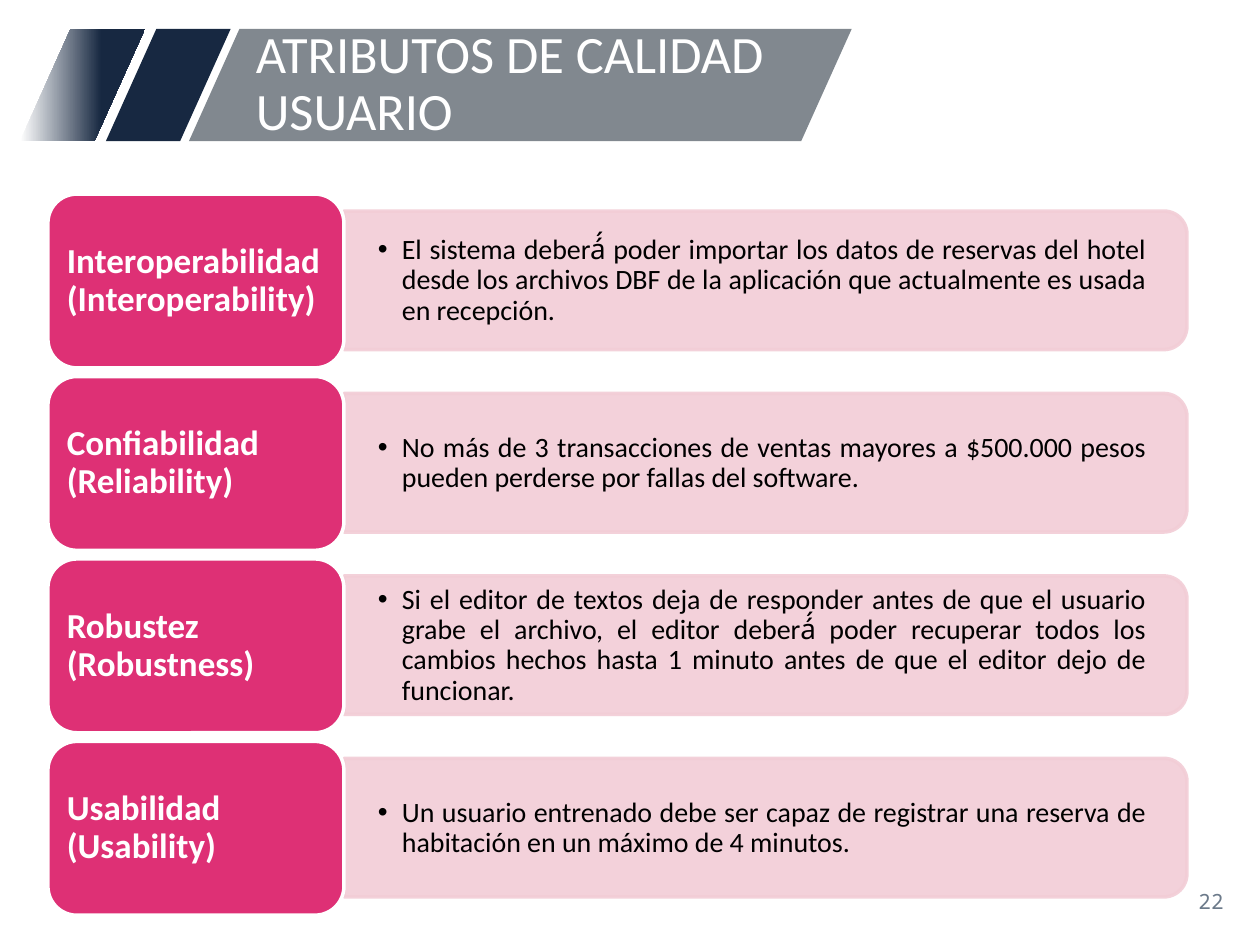
"""Build the slide of user quality attributes."""
from dataclasses import dataclass

from lxml import etree
from pptx import Presentation
from pptx.dml.color import RGBColor
from pptx.enum.shapes import MSO_SHAPE
from pptx.enum.text import MSO_ANCHOR, MSO_AUTO_SIZE, PP_ALIGN
from pptx.oxml.ns import qn
from pptx.util import Inches, Pt

SLANT = MSO_SHAPE.PARALLELOGRAM
ROUND = MSO_SHAPE.ROUNDED_RECTANGLE
TAB = MSO_SHAPE.ROUND_2_SAME_RECTANGLE
MIDDLE = MSO_ANCHOR.MIDDLE
FIXED = MSO_AUTO_SIZE.NONE
LEFT, RIGHT, JUST = PP_ALIGN.LEFT, PP_ALIGN.RIGHT, PP_ALIGN.JUSTIFY

COLS, ROWS = 100, 75
UNIT = Inches(10) // COLS
TOP, STEP = 15.4, 14.48
NAVY, GREY, WHITE, BLACK = "172841", "81888F", "FFFFFF", "000000"
PINK, ROSE, SLATE = "DE3075", "F2CDD6", "6C7A8A"


@dataclass(frozen=True)
class Box:
    """A place on the grid, in columns and rows."""
    col: float
    row: float
    wide: float
    high: float

    def place(self) -> tuple[int, ...]:
        """Return left, top, width and height as slide lengths."""
        return tuple(round(n * UNIT) for n in (self.col, self.row, self.wide, self.high))

    def turn(self) -> "Box":
        """Return the box that covers this one after a quarter turn."""
        shift = (self.wide - self.high) / 2
        return Box(self.col + shift, self.row - shift, self.high, self.wide)


@dataclass(frozen=True)
class Trait:
    """A quality attribute and its example."""
    name: str
    case: str


TRAITS = (
    Trait("Interoperabilidad (Interoperability)",
          "El sistema deberá́ poder importar los datos de reservas del hotel desde los "
          "archivos DBF de la aplicación que actualmente es usada en recepción."),
    Trait("Confiabilidad (Reliability)",
          "No más de 3 transacciones de ventas mayores a $500.000 pesos pueden perderse "
          "por fallas del software."),
    Trait("Robustez (Robustness)",
          "Si el editor de textos deja de responder antes de que el usuario grabe el "
          "archivo, el editor deberá́ poder recuperar todos los cambios hechos hasta "
          "1 minuto antes de que el editor dejo de funcionar."),
    Trait("Usabilidad (Usability)",
          "Un usuario entrenado debe ser capaz de registrar una reserva de habitación "
          "en un máximo de 4 minutos."),
)


def paint(hue: str) -> RGBColor:
    """Turn a hex string into a colour."""
    return RGBColor.from_string(hue)


def fade(shape, share: int) -> None:
    """Set the opacity of fill and line in percent."""
    for tone in shape._element.spPr.iter(qn("a:srgbClr")):
        etree.SubElement(tone, qn("a:alpha"), val=str(share * 1000))


def draw(slide, kind, box: Box, hue: str, line: str | None = None):
    """Add a filled shape with an optional outline."""
    shape = slide.shapes.add_shape(kind, *box.place())
    shape.shadow.inherit = False
    shape.fill.solid()
    shape.fill.fore_color.rgb = paint(hue)
    if line:
        shape.line.color.rgb = paint(line)
        shape.line.width = Pt(2)
    else:
        shape.line.fill.background()
    return shape


def write(shape, text: str, *, size: int, hue: str, face: str = "Calibri",
          bold: bool = False, align=LEFT, pad: tuple[float, float] = (1, 0.5),
          lead: float = 0.9, dot: bool = False) -> None:
    """Put formatted text into a shape."""
    frame = shape.text_frame
    frame.word_wrap = True
    frame.auto_size = FIXED
    frame.vertical_anchor = MIDDLE
    frame.margin_left = frame.margin_right = round(pad[0] * UNIT)
    frame.margin_top = frame.margin_bottom = round(pad[1] * UNIT)
    para = frame.paragraphs[0]
    para.text = text
    para.alignment = align
    para.line_spacing = lead
    if dot:
        props = para._p.get_or_add_pPr()
        props.set("marL", str(Inches(0.19)))
        props.set("indent", str(-Inches(0.19)))
        etree.SubElement(props, qn("a:buFont"), typeface="Arial")
        etree.SubElement(props, qn("a:buChar"), char="•")
    for run in para.runs:
        run.font.name = face
        run.font.size = Pt(size)
        run.font.bold = bold
        run.font.color.rgb = paint(hue)


def label(slide, box: Box, text: str, **style) -> None:
    """Add a text box."""
    write(slide.shapes.add_textbox(*box.place()), text, **style)


def banner(slide) -> None:
    """Draw the slanted title band and its title."""
    bands = [draw(slide, SLANT, Box(col, 2.3, wide, 8.9), hue)
             for col, wide, hue in ((8.4, 9.9, NAVY), (1.6, 9.9, NAVY), (15, 52.6, GREY))]
    for band in bands:
        band.adjustments[0] = 0.45
    fill = bands[1].fill
    fill.gradient()
    fill.gradient_angle = 0
    for stop, spot, hue in zip(fill.gradient_stops, (0, 0.65), (WHITE, NAVY)):
        stop.position = spot
        stop.color.rgb = paint(hue)
    title = slide.shapes.title
    title.left, title.top, title.width, title.height = Box(19.3, 2.3, 46.9, 8.9).place()
    write(title, "ATRIBUTOS DE CALIDAD\nUSUARIO", size=30, hue=WHITE)
    slide.shapes._spTree.append(title._element)


def band(slide, trait: Trait, row: float) -> None:
    """Draw one attribute: its panel, example, card and name."""
    panel = draw(slide, TAB, Box(27.3, row + 1.35, 66.9, 11).turn(), ROSE, ROSE)
    panel.rotation = 90
    fade(panel, 90)
    label(slide, Box(27.3, row + 1.9, 66.4, 10), trait.case, size=16, hue=BLACK,
          align=JUST, pad=(2.7, 1.4), dot=True)
    draw(slide, ROUND, Box(3.8, row, 23.5, 13.8), PINK, WHITE)
    label(slide, Box(4.5, row + 0.65, 22.1, 12.5), trait.name, size=20, hue=WHITE,
          bold=True, align=JUST, pad=(0.8, 0.4))


def main() -> None:
    """Build and save the slide."""
    deck = Presentation()
    deck.slide_width, deck.slide_height = COLS * UNIT, ROWS * UNIT
    slide = deck.slides.add_slide(deck.slide_layouts[5])
    banner(slide)
    label(slide, Box(75.6, 69.5, 22.5, 4), "22", size=12, hue=SLATE,
          face="Noto Sans Mono", align=RIGHT, lead=1.0)
    for rank, trait in enumerate(TRAITS):
        band(slide, trait, TOP + rank * STEP)
    deck.save("out.pptx")


if __name__ == "__main__":
    main()
